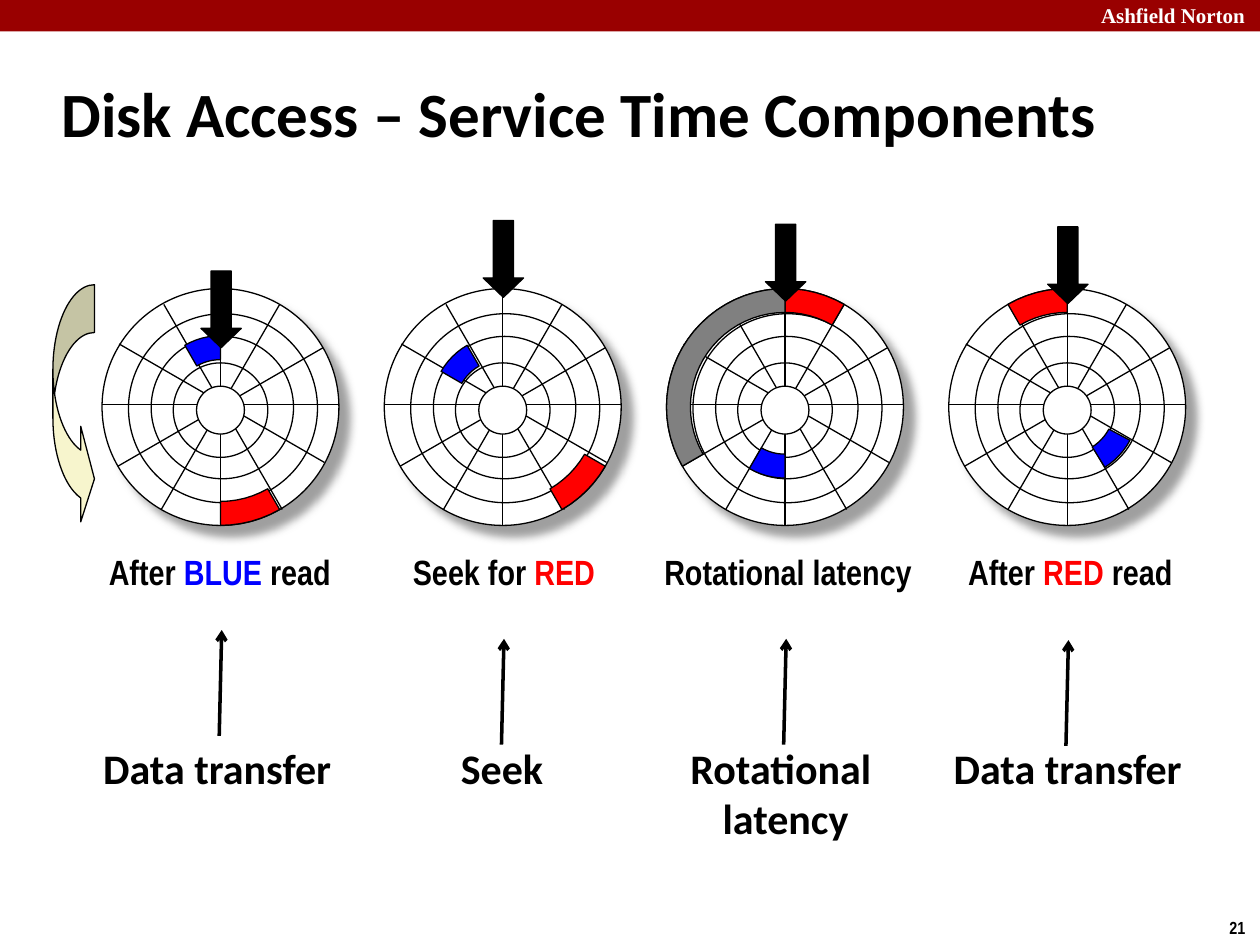
from math import cos, radians, sin

from lxml import etree
from pptx import Presentation, util as u
from pptx.dml.color import RGBColor
from pptx.enum import shapes, text
from pptx.oxml.ns import qn

COLORS = dict(black="000000", white="FFFFFF", blue="0000FF", red="FF0000",
              gray="808080", banner="990000", cream="F7F5CD")
COLS, ROWS = 100, 75  # slide grid of square cells
PITCH, FIRST_X, DISK_Y = 22.4, 17.5, 32.3

# Radius and centre offset of each track, from the rim inwards
TRACKS = [(9.4, 0, 0), (7.5, 0.2, 0.1), (5.65, 0.15, 0.05), (3.75, 0, 0.25)]
HUB = (1.9, 0, 0.25)
# Angle and centre offset of each line across the disk
SPOKES = [(90, 0, 0), (60, 0, 0), (30, 0, 0),
          (0, 0, -0.2), (150, 0.1, -0.3), (120, 0.2, 0)]
OUTER, INNER = (7.5, 9.4), (3.75, 5.65)

# Head top, sectors (colour, radii, angles), caption, foot of pointer, phase
DISKS = [
    dict(head=21.5, foot=58.4, phase=["Data transfer"], phase_at=(7.2, 20.3),
         sectors=[("blue", INNER, 90, 120), ("red", OUTER, 270, 300)],
         caption=[("After ", "black"), ("BLUE ", "blue"), ("read", "black")]),
    dict(head=17.5, foot=59.1, phase=["Seek"], phase_at=(35.6, 8.6),
         sectors=[("red", OUTER, 300, 330), ("blue", INNER, 120, 150)],
         caption=[("Seek for ", "black"), ("RED", "red")]),
    dict(head=17.8, foot=59.1, phase=["Rotational ", "latency"],
         phase_at=(53.3, 18.1),
         sectors=[("red", OUTER, 60, 90), ("blue", INNER, 240, 270),
                  ("gray", OUTER, 90, 210)],
         caption=[("Rotational latency", "black")]),
    dict(head=18, foot=59.2, phase=["Data transfer"], phase_at=(74.7, 20.3),
         sectors=[("red", OUTER, 90, 120), ("blue", INNER, 302, 332)],
         caption=[("After ", "black"), ("RED", "red"), (" read", "black")]),
]
CAPTION_AT = [(5.8, 23.3), (30, 20), (49.2, 26.7), (73.3, 23.3)]


class Painter:
    def __init__(self, prs):
        self.s = prs.slides.add_slide(prs.slide_layouts[6])
        self.cell_w = prs.slide_width / COLS
        self.cell_h = prs.slide_height / ROWS
        self.target = self.s.shapes

    def x(self, cols):
        return u.Emu(round(cols * self.cell_w))

    def y(self, rows):
        return u.Emu(round(rows * self.cell_h))

    def box(self, left, top, width, height):
        return self.x(left), self.y(top), self.x(width), self.y(height)

    def color(self, name):
        return RGBColor.from_string(COLORS[name])

    def paint(self, sp, fill, line=True):
        sp.shadow.inherit = False
        sp.fill.solid()
        sp.fill.fore_color.rgb = self.color(fill)
        if line:
            sp.line.color.rgb = self.color("black")
            sp.line.width = u.Pt(0.75)
        else:
            sp.line.fill.background()
        return sp

    def shape(self, kind, at, fill, adj=(), line=True):
        sp = self.target.add_shape(kind, *self.box(*at))
        for i, value in enumerate(adj):
            sp.adjustments[i] = value
        return self.paint(sp, fill, line)

    def circle(self, x, y, r):
        return self.shape(shapes.MSO_SHAPE.OVAL, (x - r, y - r, 2 * r, 2 * r), "white")

    def drop_shadow(self, sp):
        effects = sp._element.spPr.find(qn("a:effectLst"))
        shadow = etree.SubElement(effects, qn("a:outerShdw"), dir="2700000", algn="ctr",
                                  blurRad=str(u.Pt(5)), dist=str(u.Pt(8.5)),
                                  rotWithShape="0")
        clr = etree.SubElement(shadow, qn("a:srgbClr"), val=COLORS["gray"])
        etree.SubElement(clr, qn("a:alpha"), val="75000")

    def line(self, x1, y1, x2, y2, width=0.75, arrow=False):
        c = self.target.add_connector(shapes.MSO_CONNECTOR.STRAIGHT, self.x(x1),
                                      self.y(y1), self.x(x2), self.y(y2))
        c.line.color.rgb = self.color("black")
        c.line.width = u.Pt(width)
        if arrow:
            etree.SubElement(c.line._get_or_add_ln(), qn("a:tailEnd"), type="arrow")
        etree.SubElement(c._element.spPr, qn("a:effectLst"))

    def sector(self, x, y, fill, radii, start, end):
        steps = (end - start) // 5
        angles = [radians(start + (end - start) * i / steps) for i in range(steps + 1)]
        inner, outer = radii
        points = [(r * cos(a), r * sin(a)) for r, arc in
                  ((inner, angles), (outer, angles[::-1])) for a in arc]
        points = [(self.x(x + dx), self.y(y - dy)) for dx, dy in points]
        fb = self.target.build_freeform(*points[0])
        fb.add_line_segments(points[1:], close=True)
        self.paint(fb.convert_to_shape(), fill)

    def text(self, at, paragraphs, font, size, center=False, wrap=True, middle=False):
        tf = self.s.shapes.add_textbox(*self.box(*at)).text_frame
        tf.word_wrap = wrap
        if middle:
            tf.vertical_anchor = text.MSO_ANCHOR.MIDDLE
        for i, runs in enumerate(paragraphs):
            p = tf.add_paragraph() if i else tf.paragraphs[0]
            p.alignment = text.PP_ALIGN.CENTER if center else text.PP_ALIGN.LEFT
            for words, color in runs:
                r = p.add_run()
                r.text = words
                r.font.name, r.font.size, r.font.bold = font, u.Pt(size), True
                r.font.color.rgb = self.color(color)

    def disk(self, x, y, head, sectors):
        self.target = self.s.shapes.add_group_shape().shapes
        for i, (r, dx, dy) in enumerate(TRACKS):
            sp = self.circle(x + dx, y + dy, r)
            if i == 0:
                self.drop_shadow(sp)
        rim = TRACKS[0][0]
        for angle, dx, dy in SPOKES:
            across, up = rim * cos(radians(angle)), rim * sin(radians(angle))
            self.line(x + dx + across, y + dy - up, x + dx - across, y + dy + up)
        r, dx, dy = HUB
        self.circle(x + dx, y + dy, r)
        for sector in sectors:
            self.sector(x, y, *sector)
        self.shape(shapes.MSO_SHAPE.DOWN_ARROW, (x - 1.55, head, 3.2, 6.1),
                   "black", (0.5, 0.48))
        self.target = self.s.shapes


def main():
    prs = Presentation()
    prs.slide_width, prs.slide_height = u.Inches(10), u.Inches(7.5)
    s = Painter(prs)

    # Banner, page number and title
    s.shape(shapes.MSO_SHAPE.RECTANGLE, (0, 0, COLS, 2.5), "banner", line=False)
    s.text((86.4, -0.3, 14.3, 3), [[("Ashfield Norton", "white")]],
           "Times New Roman", 12, wrap=False)
    s.text((96.6, 72.3, 3.4, 2.7), [[("21", "black")]], "Arial Narrow", 10, wrap=False)
    s.text((3.9, 4.8, 88.5, 8.3),
           [[("Disk Access – Service Time Components", "black")]],
           "Calibri", 36, middle=True)

    # Disks with their captions, pointers and phases
    for i, d in enumerate(DISKS):
        x = FIRST_X + i * PITCH
        s.disk(x, DISK_Y, d["head"], d["sectors"])
        left, width = CAPTION_AT[i]
        s.text((left, 43.2, width, 4.3), [d["caption"]], "Arial Narrow", 20, center=True)
        s.line(x - 0.1, d["foot"], x + 0.1, d["foot"] - 8.4, 2, arrow=True)
        left, width = d["phase_at"]
        several = len(d["phase"]) > 1
        s.text((left, 58.4, width, 9.1 if several else 5),
               [[(words, "black")] for words in d["phase"]],
               "Calibri", 24, center=several, wrap=several)

    # Direction of rotation
    s.shape(shapes.MSO_SHAPE.CURVED_RIGHT_ARROW, (4.2, 22.6, 3.3, 19.2),
            "cream", (1.15, 2.3, 0.33))
    prs.save("out.pptx")


if __name__ == "__main__":
    main()
